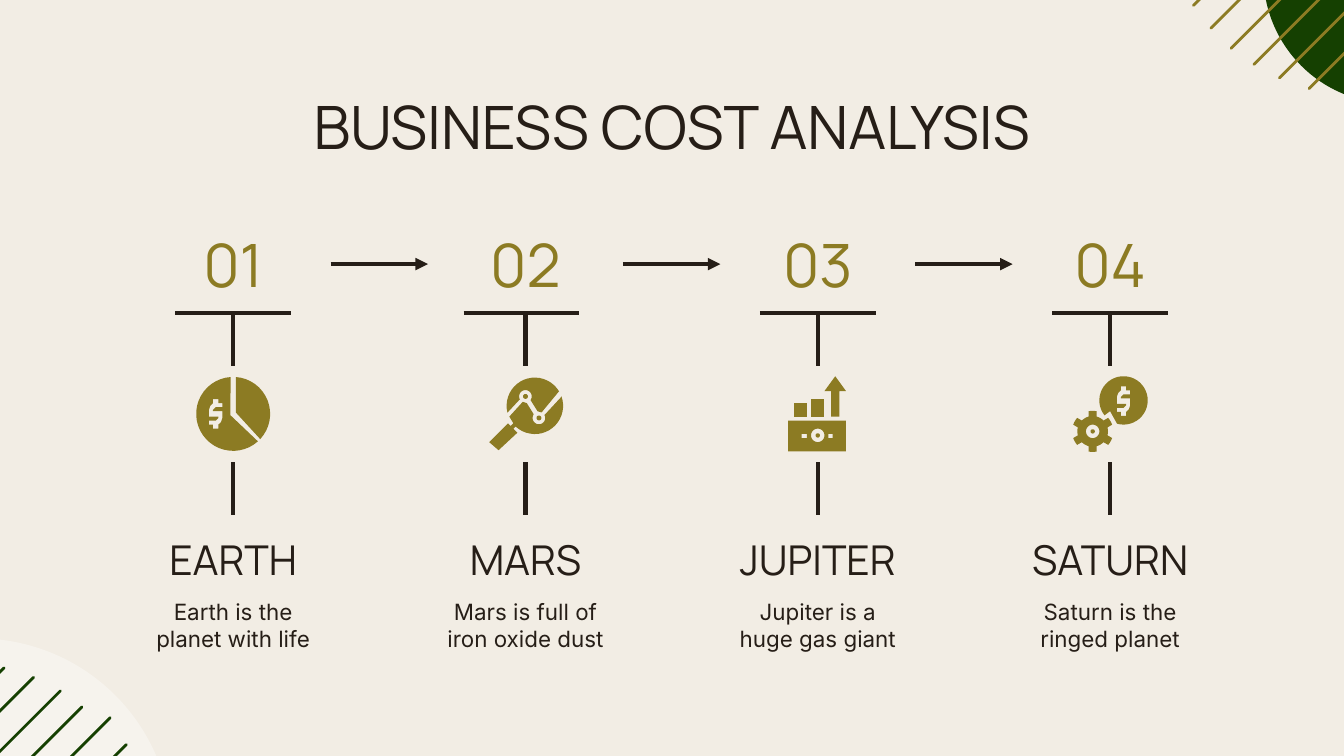
from math import cos, radians, sin
from lxml.etree import SubElement
from pptx import Presentation
from pptx.dml.color import RGBColor
from pptx.enum.shapes import MSO_CONNECTOR, MSO_SHAPE
from pptx.enum.text import MSO_ANCHOR, PP_ALIGN
from pptx.oxml.ns import qn
from pptx.util import Inches, Pt

HUE = {"sand": "F2EDE4", "ink": "261E17", "gold": "8C7B23",
       "green": "154001", "white": "FFFFFF"}
RGB = {name: RGBColor.from_string(code) for name, code in HUE.items()}

deck = Presentation()
deck.slide_width, deck.slide_height = Inches(10), Inches(5.625)
cell = deck.slide_width // 1000
slide = deck.slides.add_slide(deck.slide_layouts[6])
slide.background.fill.solid()
slide.background.fill.fore_color.rgb = RGB["sand"]
shapes = slide.shapes


def write(text, left, top, width, height, size, font="Manrope", hue="ink",
          anchor=MSO_ANCHOR.TOP):
    box = shapes.add_textbox(*[round(n * cell) for n in (left, top, width, height)])
    frame = box.text_frame
    frame.word_wrap = True
    frame.vertical_anchor = anchor
    frame.margin_left = frame.margin_right = 10 * cell
    frame.margin_top = frame.margin_bottom = 10 * cell
    line = frame.paragraphs[0]
    line.alignment = PP_ALIGN.CENTER
    run = line.add_run()
    run.text = text
    run.font.size, run.font.name = Pt(size), font
    run.font.color.rgb = RGB[hue]
    return box


def draw(loops, left, top):
    pen = None
    for loop in loops:
        dots = []
        for part in loop:
            if len(part) == 2:
                dots.append(part)
            elif len(part) == 4:
                l, t, r, b = part
                dots += [(l, t), (r, t), (r, b), (l, b)]
            else:
                x, y, size, start, stop = part
                steps = max(2, round(abs(stop - start) / 8))
                turns = [radians(start + (stop - start) * n / steps)
                         for n in range(steps + 1)]
                dots += [(x + size * cos(a), y + size * sin(a)) for a in turns]
        dots = [((left + x) * cell, (top + y) * cell) for x, y in dots]
        if pen is None:
            pen = shapes.build_freeform(*dots[0], scale=1.0)
        else:
            pen.move_to(*dots[0])
        pen.add_line_segments(dots[1:], close=True)
    icon = pen.convert_to_shape()
    icon.shadow.inherit = False
    icon.fill.solid()
    icon.fill.fore_color.rgb = RGB["gold"]
    icon.line.fill.background()


for left, top, size, hue in [(940, -115, 192, "green"), (-161, 475, 289, "white")]:
    disc = shapes.add_shape(MSO_SHAPE.OVAL, *[n * cell for n in (left, top, size, size)])
    disc.shadow.inherit = False
    disc.fill.solid()
    disc.fill.fore_color.rgb = RGB[hue]
    disc.line.fill.background()
SubElement(disc.fill._xPr.find(".//" + qn("a:srgbClr")), qn("a:alpha"), val="36000")

wires = []
stripes = {
    "gold": [(888, 4, 195), (901, 21, 206), (916, 36, 209),
             (933, 48, 202), (952, 58, 186), (974, 66, 171)],
    "green": [(3, 497, -171), (25, 504, -185), (45, 514, -195),
              (61, 526, -199), (82, 534, -206), (94, 554, -200)],
}
for hue, rows in stripes.items():
    for x, y, run in rows:
        ends = [n * cell for n in (x, y, x + run, y - run)]
        wires.append((shapes.add_connector(MSO_CONNECTOR.STRAIGHT, *ends), hue, 1.5))

write("BUSINESS COST ANALYSIS", 78, 57, 844, 77, 32)

cash = [(2, -11), (2, -8), (5, -8), (5, -5), (0, -5), (-2, -3), (-2, -2), (5, -2),
        (5, 3), (4, 6), (2, 8), (2, 11), (-2, 11), (-2, 8), (-5, 8), (-5, 5),
        (0, 5), (2, 3), (2, 2), (-5, 2), (-5, -3), (-4, -6), (-2, -8), (-2, -11)]
gear = []
for turn in range(-90, 270, 60):
    gear += [(23, 49, 11.4, turn - 45, turn - 15), (23, 49, 15.3, turn - 11, turn + 11)]

pie = [
    [[(36, 36, 27.5, 48, 266), (34, 37)], [(x + 23, y + 36) for x, y in cash]],
    [[(38, 35), (36, 36, 27.5, -86, 43)]],
]
lens = [
    [[(43, 30, 21, 166, 329), (48, 35), (45, 34), (40, 26),
      (36, 23, 4.7, 35, -210), (32, 25)]],
    [[(46, 39, 1.8, 0, 360)]],
    [[(36, 23, 1.8, 0, 360)]],
    [[(63, 23), (50, 37), (46, 39, 4.7, -25, 215), (37, 28), (34, 27), (24, 38),
      (27, 43), (25, 45), (23, 43), (9, 57), (16, 63), (30, 50), (27, 47),
      (29, 45), (43, 30, 21, 132, -20)]],
]
chart = [
    [[(18, 28, 28, 38)]],
    [[(31, 25, 41, 38)]],
    [[(49, 8), (41, 19), (46, 19), (46, 38), (52, 38), (52, 19), (57, 19)]],
    [[(36, 52, 1.6, 0, 360)]],
    [[(14, 41, 57, 64)], [(24, 51, 28, 54)], [(44, 51, 47, 54)], [(36, 52, 5, 0, 360)]],
]
coin = [
    [[(23, 49, 1.6, 0, 360)]],
    [gear, [(23, 49, 5, 0, 360)]],
    [[(46, 26, 18, 106, -218), (32, 37), (36, 34), (41, 43)],
     [(x + 46, y + 26.5) for x, y in cash]],
]

steps = [
    ("EARTH", "Earth is the planet with life", pie, 0),
    ("MARS", "Mars is full of iron oxide dust", lens, -3),
    ("JUPITER", "Jupiter is a huge gas giant", chart, 0),
    ("SATURN", "Saturn is the ringed planet", coin, 0),
]
prior = None
for place, (name, note, icon, shift) in enumerate(steps):
    mid = 173.5 + 217.5 * place
    left = mid - 72.5
    count = write(f"{place + 1:02}", left, 160, 145, 73, 32, hue="gold",
                  anchor=MSO_ANCHOR.BOTTOM)
    label = write(name, left, 383, 145, 61, 22, anchor=MSO_ANCHOR.BOTTOM)
    write(note, left, 435, 145, 61, 12, font="Inter")
    tile = shapes.add_shape(MSO_SHAPE.RECTANGLE,
                            *[round(n * cell) for n in (mid - 36, 272, 72, 72)])
    tile.shadow.inherit = False
    tile.fill.solid()
    tile.fill.fore_color.rgb = RGB["sand"]
    tile.line.fill.background()
    for loops in icon:
        draw(loops, mid - 36, 272)

    ends = [round(n * cell) for n in (mid + shift - 43, 233, mid + shift + 43, 233)]
    wires.append((shapes.add_connector(MSO_CONNECTOR.STRAIGHT, *ends), "ink", 2.25))
    links = [(count, 2, tile, 0), (tile, 2, label, 0)]
    if prior is not None:
        links.append((prior, 3, count, 1))
    for start, out, stop, into in links:
        wire = shapes.add_connector(MSO_CONNECTOR.STRAIGHT, 0, 0, 0, 0)
        wire.begin_connect(start, out)
        wire.end_connect(stop, into)
        wires.append((wire, "ink", 2.25))
        if start is prior:
            SubElement(wire.line._get_or_add_ln(), qn("a:tailEnd"), type="triangle")
    prior = count

for wire, hue, width in wires:
    wire.line.color.rgb = RGB[hue]
    wire.line.width = Pt(width)
    if width < 2:
        wire.line._get_or_add_ln().set("cap", "rnd")
    SubElement(wire._element.spPr, qn("a:effectLst"))

deck.save("out.pptx")
